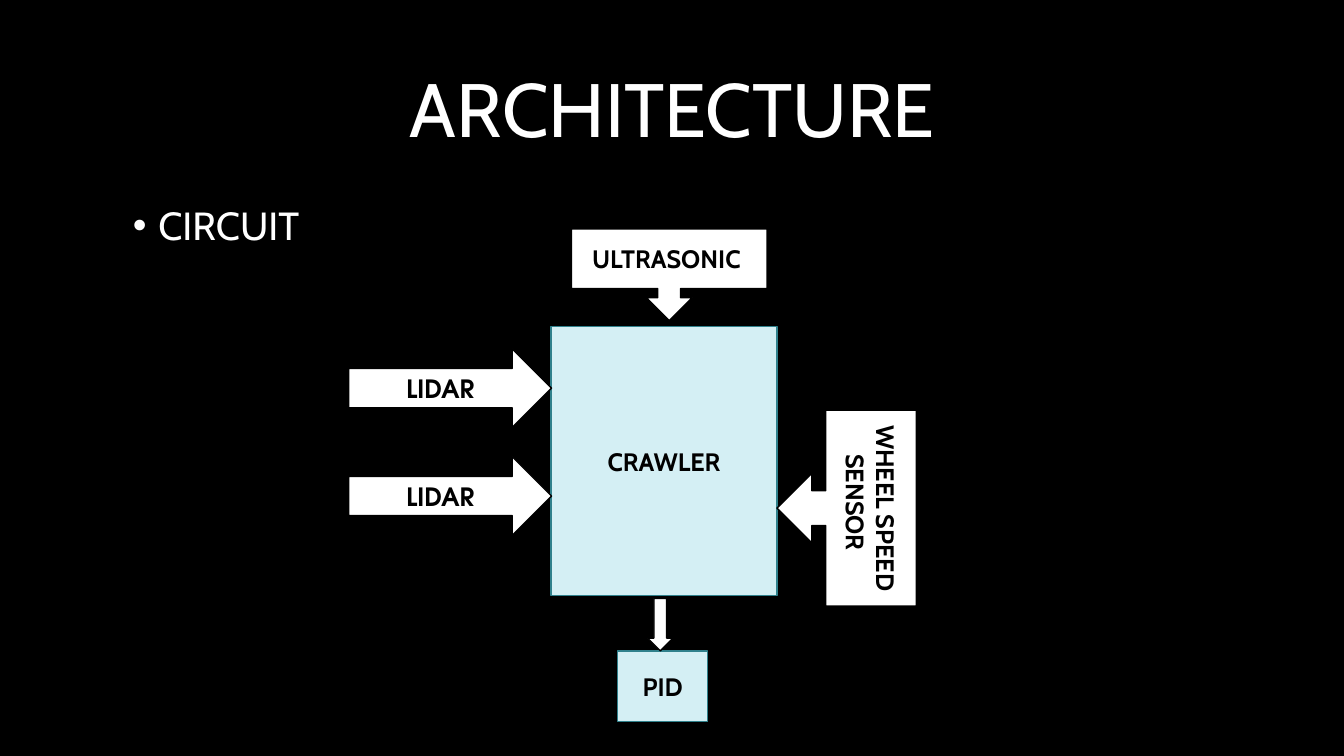
from dataclasses import dataclass

from lxml import etree
from pptx import Presentation
from pptx.dml.color import RGBColor
from pptx.enum.shapes import MSO_SHAPE
from pptx.enum.text import MSO_ANCHOR, PP_ALIGN
from pptx.oxml.ns import qn
from pptx.shapes.base import BaseShape
from pptx.slide import Slide
from pptx.text.text import TextFrame, _Paragraph
from pptx.util import Cm, Pt

RECT = MSO_SHAPE.RECTANGLE
RIGHT_ARROW = MSO_SHAPE.RIGHT_ARROW
DOWN_CALLOUT = MSO_SHAPE.DOWN_ARROW_CALLOUT
MIDDLE, TOP = MSO_ANCHOR.MIDDLE, MSO_ANCHOR.TOP
CENTER, LEFT = PP_ALIGN.CENTER, PP_ALIGN.LEFT

COLORS = {
    "black": "000000",
    "white": "FFFFFF",
    "pale": "D4EFF4",
    "teal": "30818C",
}
MAIN_FONT = "Cabin"
LIDAR_FONT = "TeX Gyre Adventor"
LIDAR_LEFT, LIDAR_TOPS = 8.79, (8.79, 11.51)


@dataclass
class Block:
    """A diagram part; box is left, top, width, height in centimetres."""
    kind: MSO_SHAPE
    box: tuple[float, float, float, float]
    text: str = ""
    fill: str = "white"
    line: str = "black"
    font: str = MAIN_FONT
    rotation: float = 0


@dataclass
class Label:
    """A heading; box is left, top, width, height in centimetres."""
    box: tuple[float, float, float, float]
    text: str
    size: float
    anchor: MSO_ANCHOR
    align: PP_ALIGN
    bullet: bool = False


BLOCKS = [
    Block(RECT, (13.89, 8.23, 5.69, 6.78), "CRAWLER", "pale", "teal"),
    Block(RECT, (15.57, 16.41, 2.26, 1.78), "PID", "pale", "teal"),
    *(Block(RIGHT_ARROW, (LIDAR_LEFT, top, 5.11, 1.98), "LIDAR", font=LIDAR_FONT)
      for top in LIDAR_TOPS),
    Block(DOWN_CALLOUT, (14.4, 5.77, 4.93, 2.31), "ULTRASONIC "),
    Block(RIGHT_ARROW, (15.98, 15.42, 1.32, 0.64), rotation=90),
    Block(DOWN_CALLOUT, (18.87, 11.05, 4.93, 3.51), "WHEEL SPEED SENSOR  ", rotation=90),
]

LABELS = [
    Label((2.34, 1.02, 29.21, 3.68), "ARCHITECTURE", 54, MIDDLE, CENTER),
    Label((3.1, 5.08, 13.97, 12.09), "CIRCUIT", 28, TOP, LEFT, bullet=True),
]


def rgb(name: str) -> RGBColor:
    return RGBColor.from_string(COLORS[name])


def write(tf: TextFrame, text: str, color: str, anchor: MSO_ANCHOR,
          align: PP_ALIGN, **font_format: object) -> _Paragraph:
    tf.word_wrap = True
    tf.vertical_anchor = anchor
    p = tf.paragraphs[0]
    p.alignment = align
    r = p.add_run()
    r.text = text
    r.font.color.rgb = rgb(color)
    for name, value in font_format.items():
        setattr(r.font, name, value)
    return p


def add_bullet(p: _Paragraph) -> None:
    p.space_before = Pt(10)
    pPr = p._p.get_or_add_pPr()
    indent = Cm(0.64)
    pPr.set("marL", str(indent))
    pPr.set("indent", str(-indent))
    etree.SubElement(pPr, qn("a:buFont")).set("typeface", "Arial")
    etree.SubElement(pPr, qn("a:buChar")).set("char", "•")


def add_label(slide: Slide, label: Label) -> BaseShape:
    sp = slide.shapes.add_textbox(*map(Cm, label.box))
    p = write(sp.text_frame, label.text, "white", label.anchor, label.align,
              name=MAIN_FONT, size=Pt(label.size))
    p.line_spacing = 0.9
    if label.bullet:
        add_bullet(p)
    return sp


def add_block(slide: Slide, block: Block) -> BaseShape:
    sp = slide.shapes.add_shape(block.kind, *map(Cm, block.box))
    sp.rotation = block.rotation
    sp.shadow.inherit = False
    sp.fill.solid()
    sp.fill.fore_color.rgb = rgb(block.fill)
    sp.line.color.rgb = rgb(block.line)
    sp.line.width = Pt(1)
    if block.text:
        write(sp.text_frame, block.text, "black", MIDDLE, CENTER,
              name=block.font, size=Pt(18), bold=True)
    return sp


def main() -> None:
    prs = Presentation()
    prs.slide_width, prs.slide_height = Cm(33.87), Cm(19.05)
    slide = prs.slides.add_slide(prs.slide_layouts[6])
    slide.background.fill.solid()
    slide.background.fill.fore_color.rgb = rgb("black")
    for label in LABELS:
        add_label(slide, label)
    for block in BLOCKS:
        add_block(slide, block)
    prs.save("out.pptx")


if __name__ == "__main__":
    main()
